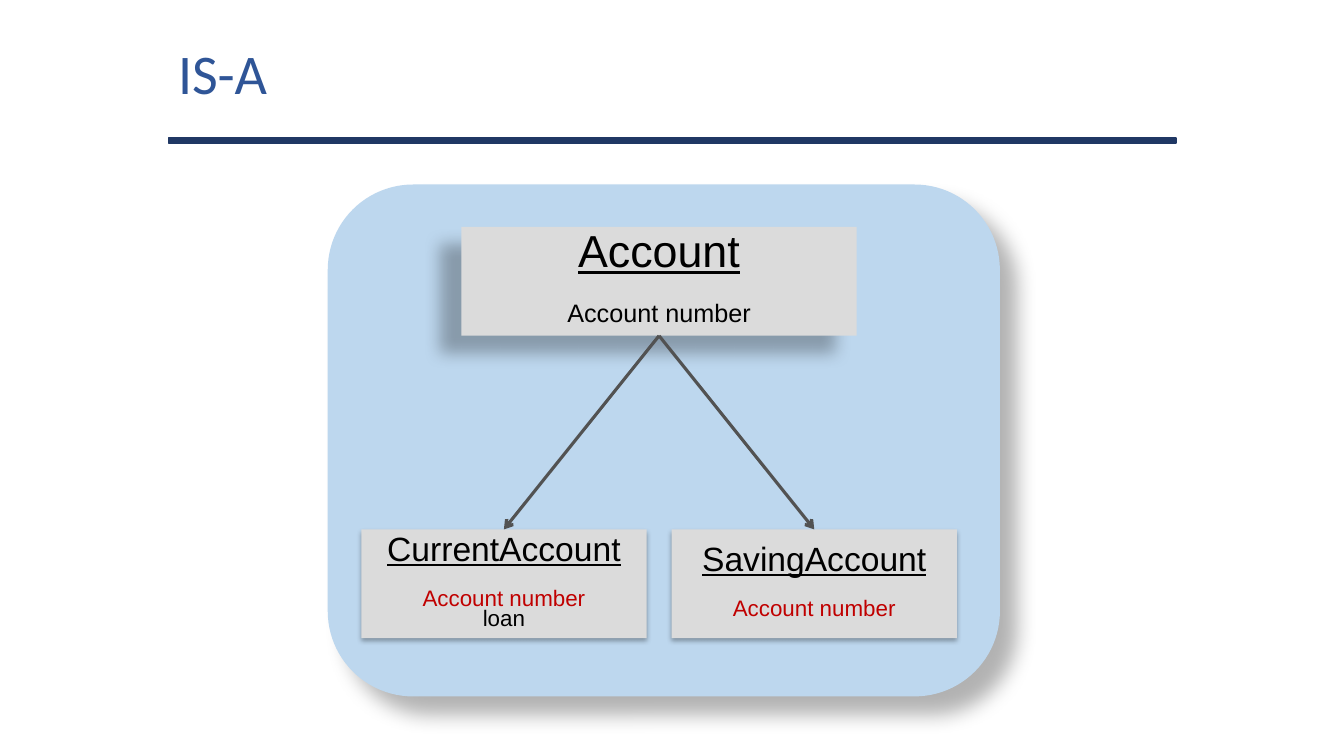
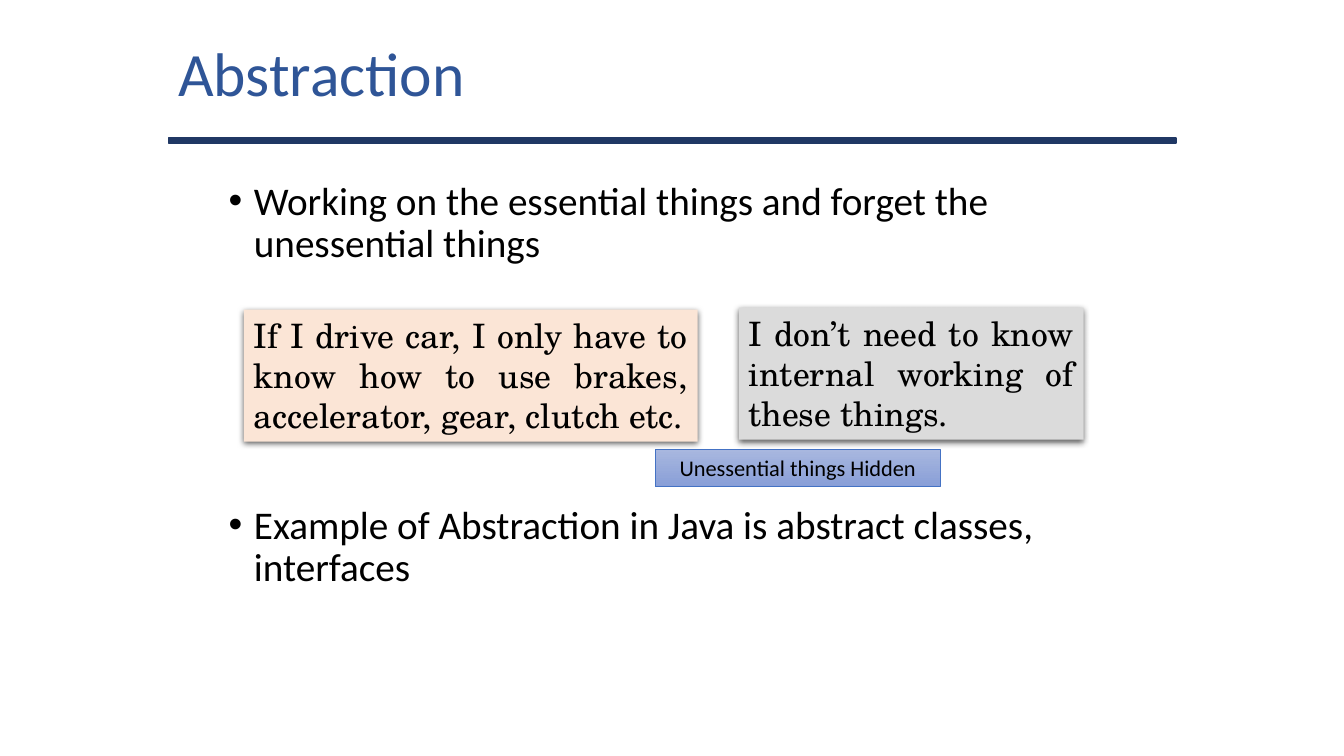
from lxml.etree import SubElement
from pptx import Presentation
from pptx.dml.color import RGBColor
from pptx.enum.shapes import MSO_CONNECTOR, MSO_SHAPE
from pptx.enum.text import MSO_ANCHOR, PP_ALIGN
from pptx.oxml.ns import qn
from pptx.util import Cm, Pt

NAVY, BLUE, BLACK, RED = "203864", "2F5597", "000000", "C00000"
GREY, PALE_BLUE, PEACH, ARROW = "DBDBDB", "BDD7EE", "FBE5D6", "525252"
CENTER, JUSTIFY = PP_ALIGN.CENTER, PP_ALIGN.JUSTIFY

# Shadows: opacity %, blur pt, distance pt, direction in degrees
FRAME_SHADOW = (30, 15, 18, 45)
PARENT_SHADOW = (28, 11.8, 19.7, 141)
CHILD_SHADOW = (32, 3.5, 2.2, 90)
CARD_SHADOW = (63, 4.5, 1.5, 90)

# Boxes: left, top, width, height in cm
TITLE_BOX = (4.24, 0, 19.89, 3.61)
BAR_BOX = (4.24, 3.48, 25.4, 0.13)

FRAME_BOX = (8.26, 4.65, 16.94, 12.9)
CENTER_X, CLASS_H = 16.61, 2.74
PARENT_Y, PARENT_W = 5.72, 9.96
CHILD_Y, CHILD_W, CHILD_SPREAD = 13.34, 7.19, 3.91
PARENT = ("Account", [("Account number", BLACK)])
CHILDREN = [
    ("CurrentAccount", [("Account number", RED), ("loan", BLACK)]),
    ("SavingAccount", [("Account number", RED)]),
]

BODY_BOX = (5.51, 4.45, 22.86, 10.8)
BULLETS = [
    ("Working on the essential things and forget the unessential things", 0),
    ("Example of Abstraction in Java is abstract classes, interfaces", 171),
]
CARDS = [
    ("If I drive car, I only have to know how to use brakes, "
     "accelerator, gear, clutch etc.", (6.15, 7.8, 11.43, 3.33), PEACH),
    ("I don’t need to know internal working of these things.",
     (18.62, 7.75, 8.69, 3.33), GREY),
]
TAG = ("Unessential things Hidden", (16.51, 11.33, 7.19, 0.94))
TAG_GRADIENT, TAG_LINE = ("A8B7DF", "889ED7"), "4472C4"


def rgb(color):
    return RGBColor.from_string(color)


def cm(box):
    return [Cm(v) for v in box]


def add_text(sp, text, size, font="Calibri", color=BLACK, align=PP_ALIGN.LEFT,
             anchor=MSO_ANCHOR.TOP, underline=False, spacing=1.0, before=0,
             bullet=False):
    """Write text in the empty first paragraph, or in a new one after it."""
    tf = sp.text_frame
    tf.word_wrap = True
    tf.vertical_anchor = anchor
    p = tf.add_paragraph() if tf.text else tf.paragraphs[0]
    p.alignment = align
    p.line_spacing = spacing
    if before:
        p.space_before = Pt(before)
    if bullet:
        pPr = p._p.get_or_add_pPr()
        pPr.set("marL", str(Cm(0.64)))
        pPr.set("indent", str(-Cm(0.64)))
        SubElement(pPr, qn("a:buFont"), typeface="Arial")
        SubElement(pPr, qn("a:buChar"), char="•")
    r = p.add_run()
    r.text = text
    r.font.name = font
    r.font.size = Pt(size)
    r.font.color.rgb = rgb(color)
    r.font.underline = underline


def add_box(s, box, fill, line=None, shadow=None, shape=MSO_SHAPE.RECTANGLE):
    sp = s.shapes.add_shape(shape, *cm(box))
    sp.shadow.inherit = False
    if isinstance(fill, tuple):
        sp.fill.gradient()
        sp.fill.gradient_angle = 270
        for stop, color in zip(sp.fill.gradient_stops, fill):
            stop.color.rgb = rgb(color)
    else:
        sp.fill.solid()
        sp.fill.fore_color.rgb = rgb(fill)
    if line:
        color, width = line
        sp.line.color.rgb = rgb(color)
        sp.line.width = Pt(width)
    else:
        sp.line.fill.background()
    if shadow:
        opacity, blur, dist, angle = shadow
        effects = sp._element.spPr.find(qn("a:effectLst"))
        outer = SubElement(effects, qn("a:outerShdw"), blurRad=str(Pt(blur)),
                           dist=str(Pt(dist)), dir=str(angle * 60000),
                           rotWithShape="0")
        clr = SubElement(outer, qn("a:srgbClr"), val=BLACK)
        SubElement(clr, qn("a:alpha"), val=str(opacity * 1000))
    return sp


def add_arrow(s, start, end):
    """Link the bottom of one box to the top of another."""
    c = s.shapes.add_connector(MSO_CONNECTOR.STRAIGHT, 0, 0, 0, 0)
    c.begin_connect(start, 2)
    c.end_connect(end, 0)
    c.line.color.rgb = rgb(ARROW)
    c.line.width = Pt(2.25)
    spPr = c._element.spPr
    SubElement(spPr.find(qn("a:ln")), qn("a:tailEnd"), type="arrow")
    SubElement(spPr, qn("a:effectLst"))


def add_slide(prs, title, title_size):
    """Blank slide with the shared bar and title."""
    s = prs.slides.add_slide(prs.slide_layouts[6])
    add_box(s, BAR_BOX, NAVY, line=(NAVY, 1))
    add_text(s.shapes.add_textbox(*cm(TITLE_BOX)), title, title_size,
             color=BLUE, anchor=MSO_ANCHOR.MIDDLE)
    return s


def add_class(s, content, center, top, width, name_size, field_size, gap, shadow):
    name, fields = content
    sp = add_box(s, (center - width / 2, top, width, CLASS_H), GREY, shadow=shadow)
    style = dict(font="Arial", align=CENTER, anchor=MSO_ANCHOR.MIDDLE, spacing=0.75)
    add_text(sp, name, name_size, underline=True, **style)
    for i, (field, color) in enumerate(fields):
        add_text(sp, field, field_size, color=color,
                 before=0 if i else gap, **style)
    return sp


def inheritance_slide(prs):
    s = add_slide(prs, "IS-A", 40)
    add_box(s, FRAME_BOX, PALE_BLUE, shadow=FRAME_SHADOW,
            shape=MSO_SHAPE.ROUNDED_RECTANGLE)
    parent = add_class(s, PARENT, CENTER_X, PARENT_Y, PARENT_W, 32, 18, 20.7,
                       PARENT_SHADOW)
    children = [
        add_class(s, content, CENTER_X + side * CHILD_SPREAD, CHILD_Y, CHILD_W,
                  24, 16, 16.1, CHILD_SHADOW)
        for content, side in zip(CHILDREN, (-1, 1))
    ]
    for child in children:
        add_arrow(s, parent, child)


def abstraction_slide(prs):
    s = add_slide(prs, "Abstraction", 44)
    body = s.shapes.add_textbox(*cm(BODY_BOX))
    for text, before in BULLETS:
        add_text(body, text, 28, spacing=0.9, before=before, bullet=True)
    for text, box, fill in CARDS:
        add_text(add_box(s, box, fill, shadow=CARD_SHADOW), text, 24,
                 font="TeX Gyre Schola", align=JUSTIFY)
    text, box = TAG
    add_text(add_box(s, box, TAG_GRADIENT, line=(TAG_LINE, 0.5)), text, 16,
             align=CENTER)


def main():
    prs = Presentation()
    prs.slide_width, prs.slide_height = Cm(33.87), Cm(19.05)
    inheritance_slide(prs)
    abstraction_slide(prs)
    prs.save("out.pptx")


if __name__ == "__main__":
    main()
